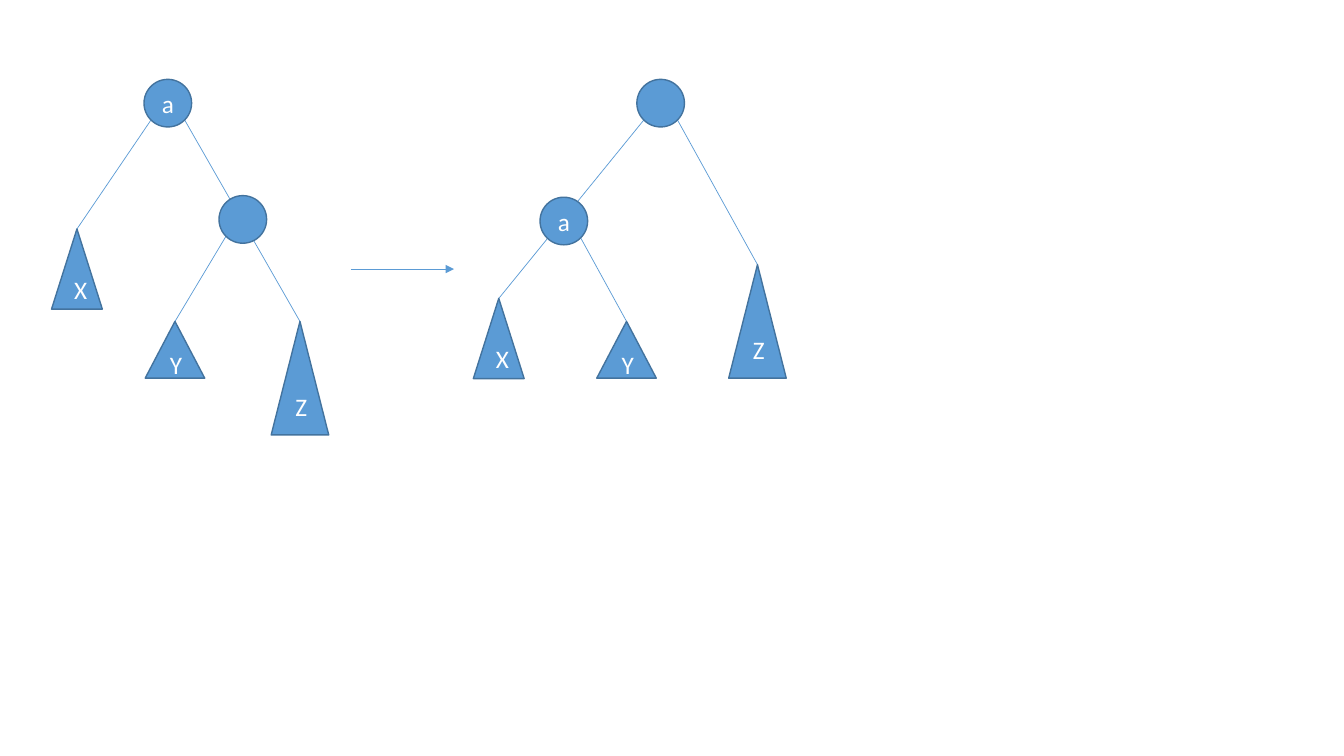
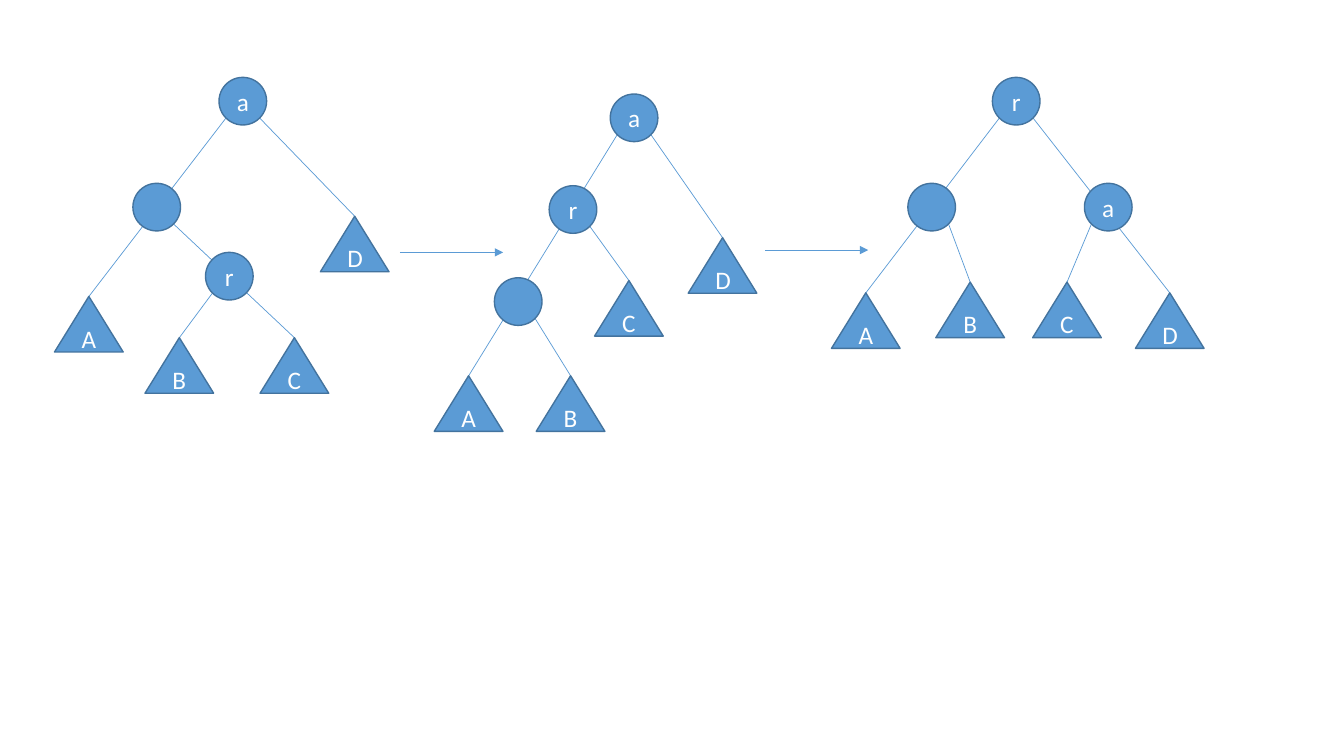
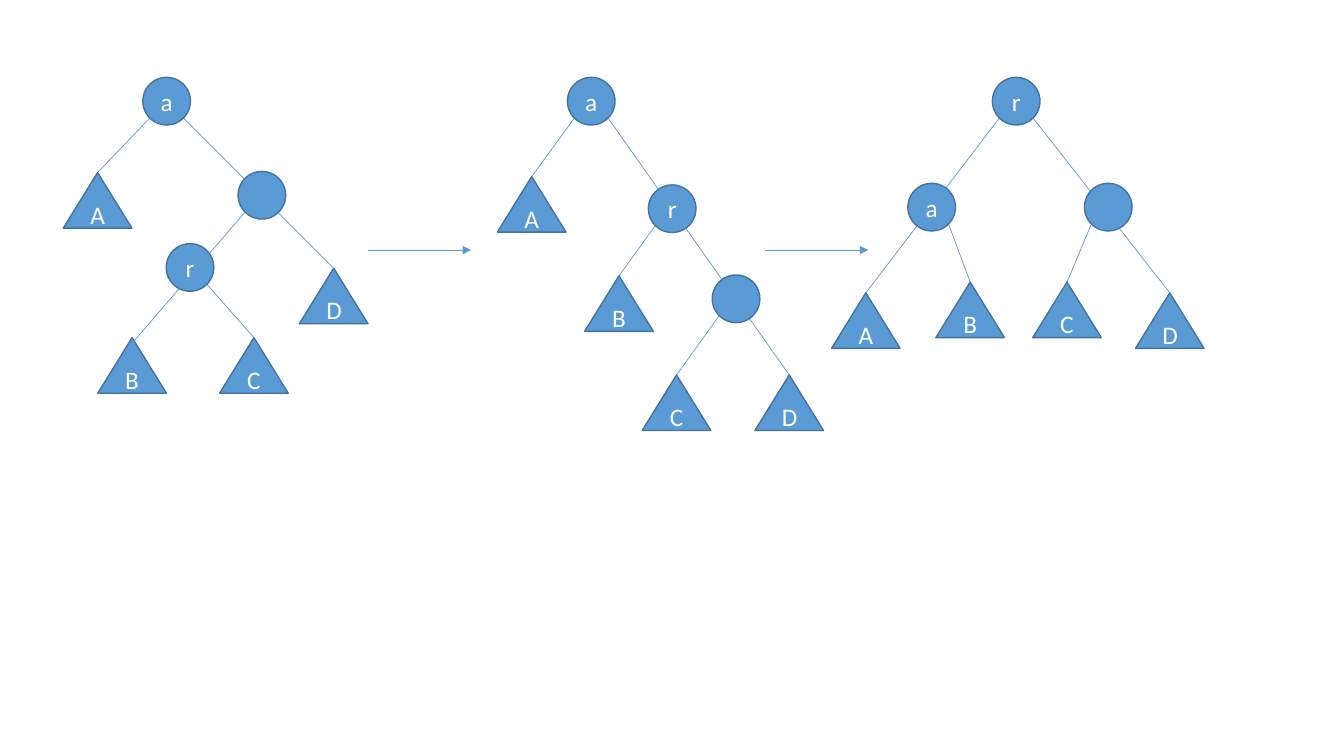
from dataclasses import dataclass
from math import sqrt

from lxml import etree
from pptx import Presentation
from pptx.dml.color import RGBColor
from pptx.enum.shapes import MSO_CONNECTOR, MSO_SHAPE
from pptx.oxml.ns import qn
from pptx.util import Cm, Pt

OVAL = MSO_SHAPE.OVAL
WEDGE = MSO_SHAPE.ISOSCELES_TRIANGLE
STRAIGHT = MSO_CONNECTOR.STRAIGHT

# Shared look; lengths are in centimetres
BLUE, RIM, WHITE = "5B9BD5", "43739E", "FFFFFF"
FONT = {"name": "Calibri", "size": Pt(18), "bold": False}
KNOT = 1.2
ARROW = 2.6
LEFT, RIGHT = -1, 1


@dataclass
class Knot:
    """A round node, placed by its left top corner."""
    text: str
    x: float
    y: float


@dataclass
class Leaf:
    """A subtree, placed by its tip; its edge leaves knot `top` on `side`."""
    text: str
    x: float
    y: float
    top: int
    side: int
    wide: float = 1.73
    high: float = 1.4
    shift: tuple[float, float] = (0, 0)


@dataclass
class Tree:
    knots: list[Knot]
    leaves: list[Leaf]


@dataclass
class Page:
    trees: list[Tree]
    arrows: list[tuple[float, float]]


def tint(code: str) -> RGBColor:
    return RGBColor.from_string(code)


# Drawing
def draw_line(slide, x: float, y: float, to_x: float, to_y: float,
              tip: bool = False) -> None:
    line = slide.shapes.add_connector(
        STRAIGHT, Cm(x), Cm(y), Cm(to_x), Cm(to_y))
    line.line.color.rgb = tint(BLUE)
    line.line.width = Pt(0.5)
    if tip:
        etree.SubElement(line.line._get_or_add_ln(), qn("a:tailEnd"),
                         type="triangle")
    etree.SubElement(line._element.spPr, qn("a:effectLst"))


def draw_shape(slide, kind, text: str, x: float, y: float,
               wide: float, high: float) -> None:
    shape = slide.shapes.add_shape(kind, Cm(x), Cm(y), Cm(wide), Cm(high))
    shape.shadow.inherit = False
    shape.fill.solid()
    shape.fill.fore_color.rgb = tint(BLUE)
    shape.line.color.rgb = tint(RIM)
    shape.line.width = Pt(1)
    if text:
        run = shape.text_frame.paragraphs[0].add_run()
        run.text = text
        for key, value in FONT.items():
            setattr(run.font, key, value)
        run.font.color.rgb = tint(WHITE)


def draw_tree(slide, tree: Tree) -> None:
    # Edges run behind the nodes, from a lower diagonal point to a tip
    half = KNOT / 2
    reach = half / sqrt(2)
    for leaf in tree.leaves:
        knot = tree.knots[leaf.top]
        draw_line(slide, knot.x + half + leaf.side * reach,
                  knot.y + half + reach,
                  leaf.x + leaf.shift[0], leaf.y + leaf.shift[1])
    for knot in tree.knots:
        draw_shape(slide, OVAL, knot.text, knot.x, knot.y, KNOT, KNOT)
    for leaf in tree.leaves:
        draw_shape(slide, WEDGE, leaf.text, leaf.x - leaf.wide / 2, leaf.y,
                   leaf.wide, leaf.high)


# Trees
def final_tree(left: str, right: str) -> Tree:
    """The balanced result of a double rotation."""
    return Tree(
        [Knot("r", 25.01, 1.95), Knot(left, 22.88, 4.62),
         Knot(right, 27.33, 4.62)],
        [Leaf("A", 21.82, 7.38, 0, LEFT), Leaf("B", 24.45, 7.11, 1, RIGHT),
         Leaf("C", 26.89, 7.11, 2, LEFT), Leaf("D", 29.48, 7.38, 0, RIGHT)])


SIZE_X, SIZE_Y, SIZE_Z = (1.28, 2.02), (1.5, 1.43), (1.45, 2.86)

PAGES = [
    # Single rotation
    Page([
        Tree([Knot("a", 3.63, 2), Knot("", 5.52, 4.93)],
             [Leaf("X", 1.94, 5.77, 0, LEFT, *SIZE_X),
              Leaf("Y", 4.41, 8.1, 1, LEFT, *SIZE_Y),
              Leaf("Z", 7.56, 8.1, 0, RIGHT, *SIZE_Z)]),
        Tree([Knot("", 16.05, 2), Knot("a", 13.61, 4.97)],
             [Leaf("X", 12.57, 7.52, 0, LEFT, *SIZE_X),
              Leaf("Y", 15.79, 8.1, 1, RIGHT, *SIZE_Y),
              Leaf("Z", 19.09, 6.67, 0, RIGHT, *SIZE_Z)]),
    ], [(8.84, 6.78)]),
    # Left-right rotation
    Page([
        Tree([Knot("a", 5.52, 1.95), Knot("", 3.35, 4.62),
              Knot("r", 5.18, 6.36)],
             [Leaf("A", 2.24, 7.47, 0, LEFT), Leaf("B", 4.52, 8.51, 2, LEFT),
              Leaf("C", 7.42, 8.51, 1, RIGHT),
              Leaf("D", 8.94, 5.45, 0, RIGHT)]),
        Tree([Knot("a", 15.38, 2.37), Knot("r", 13.84, 4.68),
              Knot("", 12.46, 7)],
             [Leaf("A", 11.81, 9.47, 0, LEFT),
              Leaf("B", 14.38, 9.47, 2, RIGHT),
              Leaf("C", 15.85, 7.07, 1, RIGHT),
              Leaf("D", 18.21, 5.99, 0, RIGHT)]),
        final_tree("", "a"),
    ], [(10.08, 6.36), (19.28, 6.3)]),
    # Right-left rotation
    Page([
        Tree([Knot("a", 3.6, 1.95), Knot("", 6, 4.32), Knot("r", 4.19, 6.14)],
             [Leaf("A", 2.46, 4.35, 0, LEFT),
              Leaf("B", 3.33, 8.51, 1, LEFT, shift=(-0.05, 0.2)),
              Leaf("C", 6.4, 8.51, 2, RIGHT),
              Leaf("D", 8.41, 6.76, 0, RIGHT)]),
        Tree([Knot("a", 14.3, 1.95), Knot("r", 16.34, 4.66),
              Knot("", 17.95, 6.93)],
             [Leaf("A", 13.4, 4.45, 0, LEFT), Leaf("B", 15.6, 6.95, 1, LEFT),
              Leaf("C", 17.05, 9.45, 2, LEFT),
              Leaf("D", 19.89, 9.45, 0, RIGHT)]),
        final_tree("a", ""),
    ], [(9.27, 6.3), (19.28, 6.3)]),
]


def main() -> None:
    deck = Presentation()
    deck.slide_width, deck.slide_height = Cm(33.87), Cm(19.05)
    for page in PAGES:
        slide = deck.slides.add_slide(deck.slide_layouts[6])
        for tree in page.trees:
            draw_tree(slide, tree)
        for x, y in page.arrows:
            draw_line(slide, x, y, x + ARROW, y, tip=True)
    deck.save("out.pptx")


if __name__ == "__main__":
    main()
